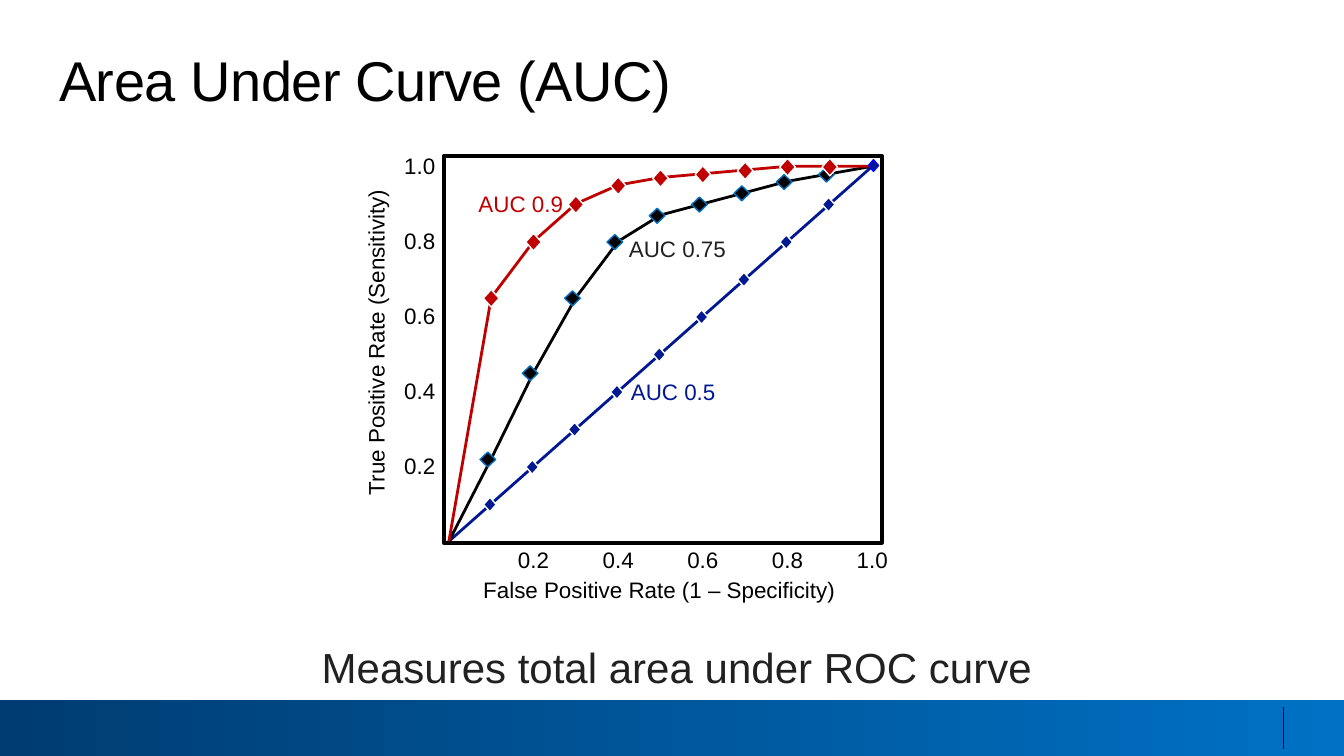
from lxml.etree import SubElement
from pptx import Presentation
from pptx.dml.color import RGBColor
from pptx.enum.shapes import MSO_CONNECTOR as Connector, MSO_SHAPE as Shape
from pptx.enum.text import MSO_ANCHOR as Anchor, PP_ALIGN as Align
from pptx.oxml.ns import qn
from pptx.util import Inches, Pt

FONT = "Arial"
BLACK, DARK, BLUE, RED, WHITE = "000000", "212121", "011893", "C00000", "FEFFFF"
RATES = [i / 10 for i in range(11)]
TICKS = RATES[2::2]

# True positive rates, line colour, marker edge, marker width and height, marker shift
CURVES = [
    (RATES, BLUE, WHITE, .03, .038, -.003),
    ([0, .22, .45, .65, .8, .87, .9, .93, .96, .98, 1], BLACK, "0071C5", .037, .04, -.008),
    ([0, .65, .8, .9, .95, .97, .98, .99, 1, 1, 1], RED, WHITE, .037, .047, 0),
]
# Text, colour, centre in rates, width
CURVE_LABELS = [
    ("AUC 0.5", BLUE, .53, .4, .21),
    ("AUC 0.75", DARK, .54, .78, .25),
    ("AUC 0.9", RED, .17, .9, .21),
]
TEXT_HEIGHT = .072


def rgb(value):
    return RGBColor.from_string(value)


def style_line(line, color, width):
    line.color.rgb = rgb(color)
    line.width = Pt(width)


def write(frame, text, size, color, align):
    """Fill a text frame with one line of formatted text."""
    frame.margin_left = frame.margin_top = frame.margin_right = frame.margin_bottom = 0
    frame.word_wrap = True
    frame.vertical_anchor = Anchor.TOP
    frame.text = text
    frame.paragraphs[0].alignment = align
    font = frame.paragraphs[0].runs[0].font
    font.name, font.size, font.color.rgb = FONT, Pt(size), rgb(color)


def add_title(slide, box):
    title = slide.shapes.title
    title.left, title.top, title.width, title.height = box
    write(title.text_frame, "Area Under Curve (AUC)", 30, BLACK, Align.LEFT)
    title.text_frame.paragraphs[0].runs[0].font._element.set("spc", "-25")


def add_footer(slide, box):
    """Gradient band with a thin divider near its right end."""
    left, top, width, height = box
    band = slide.shapes.add_shape(Shape.RECTANGLE, *box)
    band.shadow.inherit = False
    band.fill.gradient()
    band.fill.gradient_angle = 0
    for stop, color, position in zip(band.fill.gradient_stops, ("003C71", "0071C5"), (0, 1)):
        stop.color.rgb = rgb(color)
        stop.position = position
    band.line.fill.background()

    x = left + int(width * .955)
    divider = slide.shapes.add_connector(
        Connector.STRAIGHT, x, top + int(height * .12), x, top + int(height * .88))
    style_line(divider.line, BLACK, .75)
    SubElement(divider._element.spPr, qn("a:effectLst"))


def add_caption(slide, box):
    caption = slide.shapes.add_textbox(*box)
    write(caption.text_frame, "Measures total area under ROC curve", 22.5, DARK, Align.CENTER)


def add_roc_plot(slide, box):
    """Draw the curves; the box spans rates 0 to 1 on both axes."""
    left, top, width, height = box

    def at(x, y):
        return int(left + x * width), int(top + (1 - y) * height)

    def centred(x, y, w, h):
        return *at(x - w / 2, y + h / 2), int(w * width), int(h * height)

    def add_curve(rates, color):
        points = [at(x, y) for x, y in zip(RATES, rates)]
        if rates is RATES:
            points = [points[0], points[-1]]
        builder = slide.shapes.build_freeform(*points[0])
        builder.add_line_segments(points[1:], close=False)
        curve = builder.convert_to_shape()
        curve.shadow.inherit = False
        curve.fill.background()
        style_line(curve.line, color, 1.5)

    def add_marker(x, y, w, h, color, edge):
        marker = slide.shapes.add_shape(Shape.DIAMOND, *centred(x, y, w, h))
        marker.shadow.inherit = False
        marker.fill.solid()
        marker.fill.fore_color.rgb = rgb(color)
        style_line(marker.line, edge, .75)

    def add_label(text, color, x, y, w, align=Align.CENTER):
        label = slide.shapes.add_textbox(*centred(x, y, w, TEXT_HEIGHT))
        write(label.text_frame, text, 12, color, align)
        return label

    # Curves, then the markers between their ends
    for rates, color, *_ in CURVES:
        add_curve(rates, color)
    for rates, color, edge, w, h, shift in CURVES:
        for x, y in list(zip(RATES, rates))[1:-1]:
            add_marker(x + shift, y - .002, w, h, color, edge)
        if rates is RATES:
            add_marker(1.003, 1.002, .024, .031, BLUE, "0000FF")

    # Labels of curves, ticks and axes
    for curve_label in CURVE_LABELS:
        add_label(*curve_label)
    for tick in TICKS:
        add_label(f"{tick:.1f}", BLACK, -.075, tick + .002, .086, Align.RIGHT)
        add_label(f"{tick:.1f}", BLACK, tick, -.05, .086)
    add_label("False Positive Rate (1 – Specificity)", BLACK, .497, -.129, .92)
    sensitivity = add_label("True Positive Rate (Sensitivity)", BLACK, -.173, .53, .82)
    sensitivity.rotation = 270

    # Frame just outside the plot
    frame = slide.shapes.add_shape(Shape.RECTANGLE, *centred(.505, .512, 1.035, 1.032))
    frame.shadow.inherit = False
    frame.fill.background()
    style_line(frame.line, BLACK, 2)


def main():
    deck = Presentation()
    deck.slide_width = Inches(10)
    deck.slide_height = deck.slide_width * 9 // 16
    slide = deck.slides.add_slide(deck.slide_layouts[5])

    def share(x, y, w, h):
        return [int(part * side) for part, side in
                zip((x, y, w, h), (deck.slide_width, deck.slide_height) * 2)]

    add_footer(slide, share(0, .926, 1, .074))
    add_caption(slide, share(.147, .848, .714, .068))
    add_roc_plot(slide, share(.334, .22, .315, .496))
    add_title(slide, share(.044, .06, .923, .09))
    deck.save("out.pptx")


if __name__ == "__main__":
    main()
